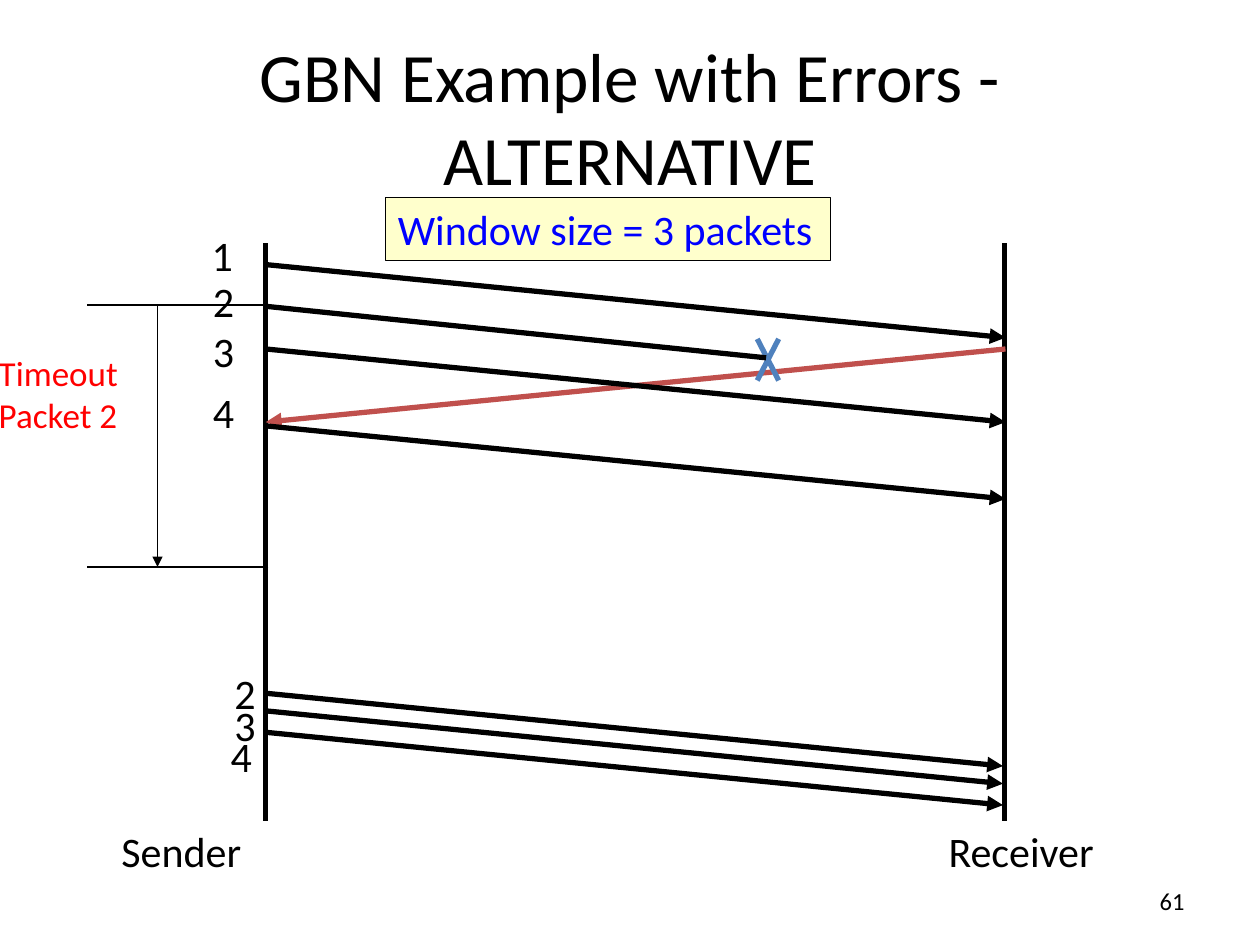
from collections import namedtuple

from lxml.etree import SubElement
from pptx import Presentation
from pptx.dml.color import RGBColor
from pptx.enum.shapes import MSO_CONNECTOR, MSO_SHAPE
from pptx.enum.text import MSO_ANCHOR, MSO_AUTO_SIZE, PP_ALIGN
from pptx.oxml.ns import qn
from pptx.util import Pt

EMU_PER_PX = 9144
FONT = "Calibri"
COLORS = {
    "ink": "000000",
    "acknowledgement": "C0504D",
    "loss": "4F81BD",
    "timeout": "FF0000",
    "window_text": "0000FF",
    "window_fill": "FFFFCC",
}
Box = namedtuple("Box", "left top width height")
PACKET_DROP = 58


def px(length):
    """Turn px (100 to the inch) into EMU."""
    return length * EMU_PER_PX


def color(name):
    """Look up a named colour."""
    return RGBColor.from_string(COLORS[name])


def place(shape, box):
    """Move and size a shape to a box."""
    shape.left, shape.top, shape.width, shape.height = map(px, box)


def write(shape, lines, size, ink="ink", align=PP_ALIGN.LEFT,
          anchor=MSO_ANCHOR.TOP, inset=(10, 5), wrap=False):
    """Fill a shape with one paragraph for each line."""
    frame = shape.text_frame
    frame.text = "\n".join(lines)
    frame.auto_size = MSO_AUTO_SIZE.NONE
    frame.word_wrap = wrap
    frame.vertical_anchor = anchor
    frame.margin_left = frame.margin_right = px(inset[0])
    frame.margin_top = frame.margin_bottom = px(inset[1])
    for paragraph in frame.paragraphs:
        paragraph.alignment = align
        paragraph.font.name = FONT
        paragraph.font.size = Pt(size)
        paragraph.font.color.rgb = color(ink)


def add_text(slide, box, lines, size, **style):
    """Add a text box."""
    write(slide.shapes.add_textbox(*map(px, box)), lines, size, **style)


def add_line(slide, start, end, ink="ink", width=3, arrow=False):
    """Add a straight line, with an arrowhead at its end if asked."""
    connector = slide.shapes.add_connector(
        MSO_CONNECTOR.STRAIGHT, *map(px, (*start, *end)))
    connector.line.color.rgb = color(ink)
    connector.line.width = Pt(width)
    if arrow:
        SubElement(connector.line._get_or_add_ln(), qn("a:tailEnd"), type="triangle")
    SubElement(connector._element.spPr, qn("a:effectLst"))


def add_title(slide, box):
    """Set the slide title."""
    place(slide.shapes.title, box)
    write(slide.shapes.title, ["GBN Example with Errors - ALTERNATIVE"], 39.6,
          align=PP_ALIGN.CENTER, anchor=MSO_ANCHOR.MIDDLE, wrap=True)


def add_window_note(slide, box):
    """Add the framed note on the window size."""
    note = slide.shapes.add_shape(MSO_SHAPE.RECTANGLE, *map(px, box))
    note.shadow.inherit = False
    note.fill.solid()
    note.fill.fore_color.rgb = color("window_fill")
    note.line.color.rgb = color("ink")
    note.line.width = Pt(0.75)
    write(note, ["Window size = 3 packets"], 24, ink="window_text")


def add_lifelines(slide, box):
    """Add the sender and receiver time lines with their names."""
    bottom = box.top + box.height
    right = box.left + box.width
    names = (("Sender", box.left, box.left - 125, 116),
             ("Receiver", right, right - 55, 137))
    for name, x, label_left, label_width in names:
        add_line(slide, (x, box.top), (x, bottom))
        add_text(slide, Box(label_left, bottom - 2, label_width, 50), [name], 24,
                 align=PP_ALIGN.CENTER, anchor=MSO_ANCHOR.MIDDLE)


def add_packets(slide, box, offsets):
    """Add packet arrows that fall from sender to receiver."""
    for offset in offsets:
        y = box.top + offset
        add_line(slide, (box.left, y), (box.left + box.width, y + PACKET_DROP),
                 arrow=True)


def add_packet_numbers(slide, box, numbers):
    """Add packet numbers, each as text with its offset in the box."""
    for number, x, y in numbers:
        add_text(slide, Box(box.left + x, box.top + y, 35, 49), [number], 24,
                 inset=(9, 4))


def add_first_exchange(slide, box):
    """Add the first window, its acknowledgement and the lost packet."""
    left, top, width, _ = box
    add_line(slide, (left + width, top + 67), (left, top + 67 + PACKET_DROP),
             ink="acknowledgement", arrow=True)
    add_packets(slide, box, (0, 67, 128))
    add_packet_numbers(slide, box, (("1", -52, -32), ("2", -51, 5),
                                    ("3", -51, 44), ("4", -51, 93)))
    cross = Box(left + 390, top + 59, 17, 33)
    right = cross.left + cross.width
    for start, end in ((cross.left, right), (right, cross.left)):
        add_line(slide, (start, cross.top), (end, cross.top + cross.height),
                 ink="loss")
    add_line(slide, (left - 1, top + 33), (left + 397, top + 74))


def add_timeout(slide, box):
    """Add the time-out bracket and its label."""
    left, top, width, height = box
    for y in (top, top + height):
        add_line(slide, (left + width, y), (left, y), width=0.75)
    add_line(slide, (left + 56, top), (left + 56, top + height),
             width=0.75, arrow=True)
    add_text(slide, Box(left - 79, top + 33, 114, 76), ["Timeout", "Packet 2"], 20,
             ink="timeout", inset=(9, 4))


def add_retransmission(slide, box):
    """Add the packets that are sent again."""
    add_packet_numbers(slide, box, (("2", -32, -24), ("3", -32, 1), ("4", -35, 26)))
    add_packets(slide, box, (0, 14, 31))


def add_page_number(slide, box):
    """Add the page number."""
    add_text(slide, box, ["61"], 14, align=PP_ALIGN.RIGHT,
             anchor=MSO_ANCHOR.MIDDLE, wrap=True)


def main():
    """Build and save the slide."""
    presentation = Presentation()
    presentation.slide_width = px(1000)
    presentation.slide_height = px(750)
    slide = presentation.slides.add_slide(presentation.slide_layouts[5])
    add_title(slide, Box(50, 30, 900, 125))
    add_window_note(slide, Box(306, 157, 353, 50))
    add_lifelines(slide, Box(211, 193, 586, 459))
    add_first_exchange(slide, Box(211, 210, 587, 186))
    add_timeout(slide, Box(69, 242, 144, 208))
    add_retransmission(slide, Box(209, 550, 587, 89))
    add_page_number(slide, Box(717, 695, 233, 40))
    presentation.save("out.pptx")


if __name__ == "__main__":
    main()
